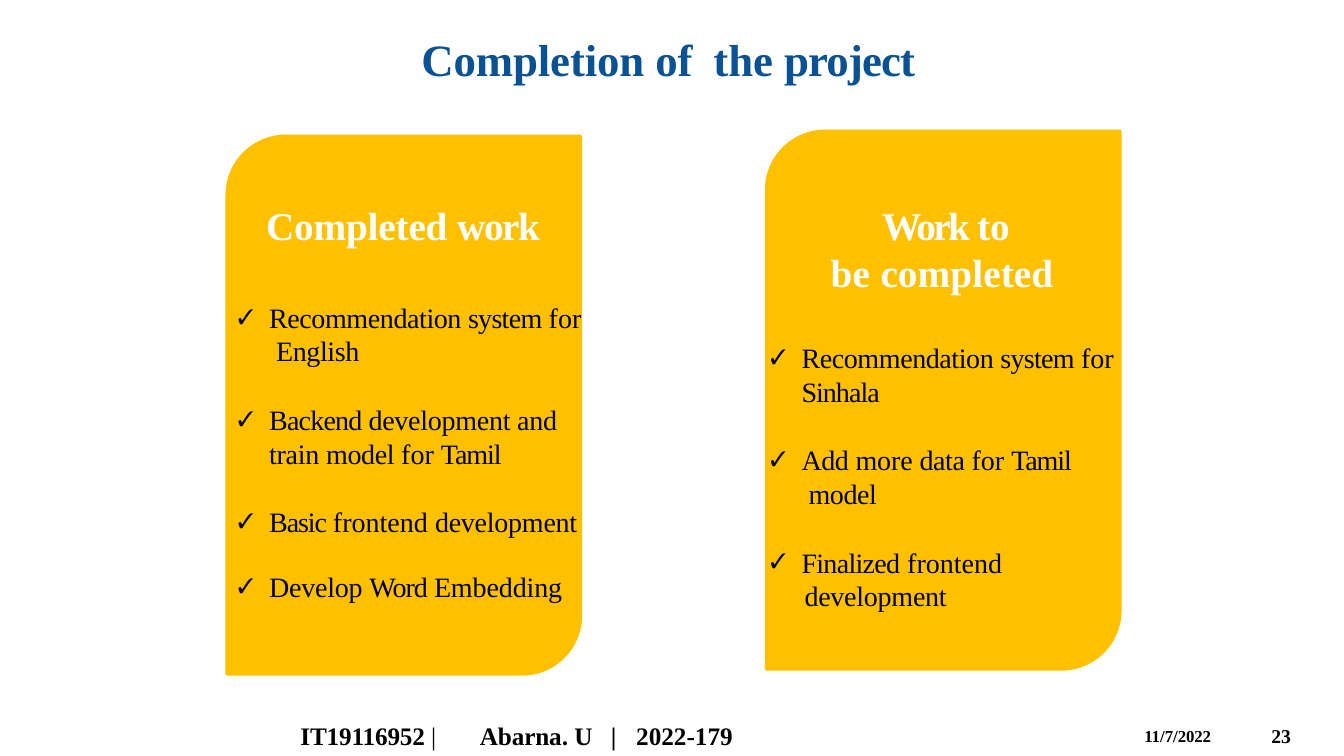
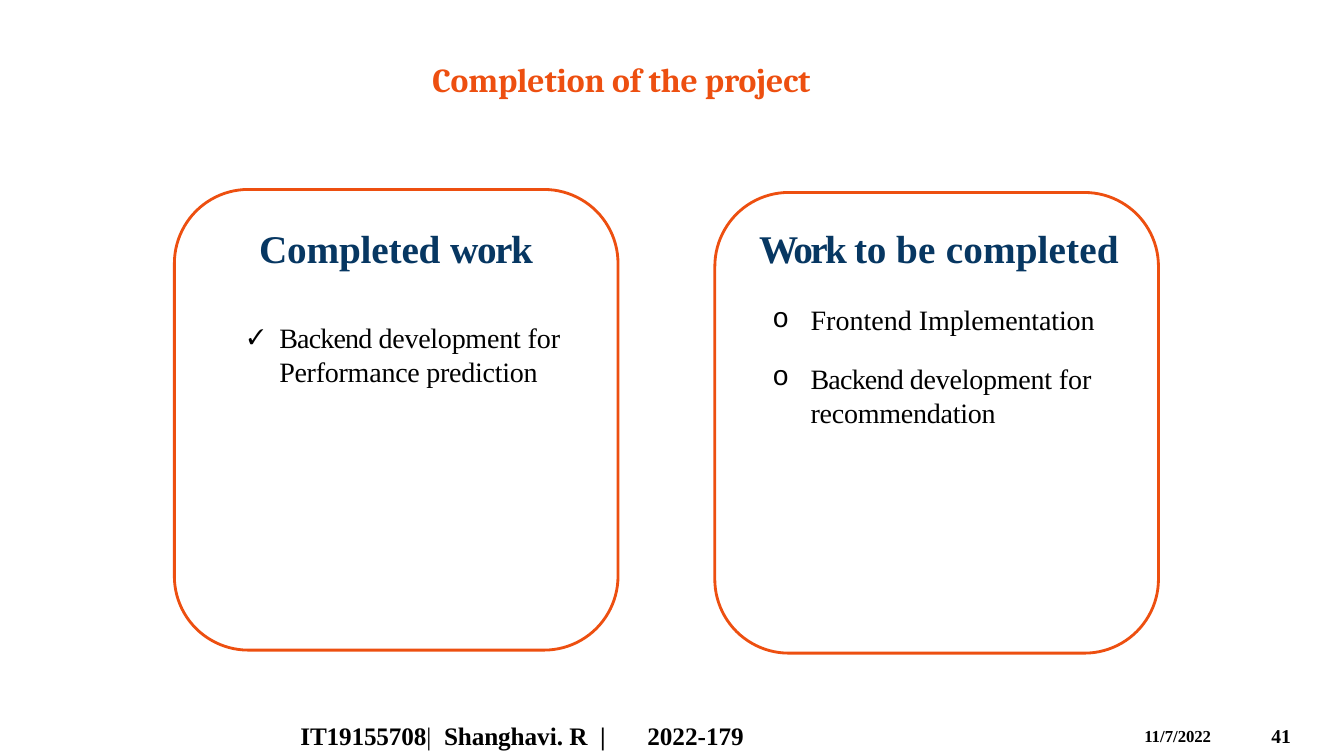
from dataclasses import dataclass

from lxml import etree
from pptx import Presentation, util as u
from pptx.dml.color import RGBColor
from pptx.enum import shapes, text
from pptx.oxml import ns

WIDTH, HEIGHT = 13.33, 7.5
SERIF, TITLE_SERIF = "Times New Roman", "Cambria"
BLACK, WHITE, BLUE, NAVY = "000000", "FFFFFF", "0A5294", "073762"
GOLD, ORANGE = "FFC000", "ED4F10"
CHECK, CIRCLE = ("✓", SERIF, 75), ("o", "Courier New", 100)
FOOTER_TOP, FOOTER_HEIGHT = 7.14, 0.32


@dataclass
class Style:
    size: float
    color: str = BLACK
    bold: bool = True
    font: str = SERIF


@dataclass
class Line:
    runs: list
    style: Style
    before: float = 1
    left: float = 0.01
    first: float = 0
    bullet: tuple = ()


BODY = Style(20, bold=False)
FOOTER, NUMBER, DATE = Style(18), Style(14), Style(12)
WHITE_HEADING, NAVY_HEADING = Style(28, WHITE), Style(28, NAVY)


def check(runs, before=25):
    return Line(runs, BODY, before, 0.33, -0.31, CHECK)


def circle(runs, before):
    return Line(runs, BODY, before, 0.52, -0.38, CIRCLE)


COMPLETED = [("Completed ", -0.1), ("work", -1)]
RECOMMENDATION = [("Recommendation ", -0.3), ("system ", -0.5)]
DATE_RUNS = [("11", -0.1), ("/", 0), ("7", -0.1), ("/", 0), ("2022", -0.1)]

SLIDES = [
    {
        "number": "23",
        "cards": {
            "shape": shapes.MSO_SHAPE.ROUND_2_DIAG_RECTANGLE,
            "fill": GOLD, "line": GOLD, "size": (3.51, 5.34),
            "corners": [(2.25, 1.35), (7.6, 1.3)],
        },
        "texts": [
            ((4.17, 0.31, 5.2, 0.56), [
                Line([("Completion of", -0.1), (" ", 7), ("the ", -0.1), ("project", -0.6)],
                     Style(32, BLUE))]),
            ((2.63, 1.99, 2.9, 0.49), [Line(COMPLETED, WHITE_HEADING)]),
            ((2.34, 2.97, 3.6, 3), [
                check(RECOMMENDATION + [("for\n ", 0), ("English", -0.3)], 1),
                check([("Backend ", -0.6), ("development and\ntrain ", -0.2),
                       ("model ", -0.3), ("for ", 0), ("Tamil", -0.8)]),
                check([("Basic ", -0.8), ("frontend ", 0), ("development", -0.2)]),
                check([("Develop ", -0.2), ("Word ", -0.7), ("Embedding", -0.1)], 22.5),
            ]),
            ((8.23, 1.99, 2.4, 0.96), [
                Line([("Work ", -1.9), ("to\n", 0), ("be ", 0.2), ("completed", 0.1)],
                     WHITE_HEADING, first=0.51)]),
            ((7.62, 3.37, 3.6, 2.7), [
                check(RECOMMENDATION + [("for\n", 0), ("Sinhala", -0.7)], 1),
                check([("Add ", -0.3), ("more ", -0.1), ("data ", -0.3), ("for ", 0),
                       ("Tamil\n ", -0.8), ("model", -0.3)]),
                check([("Finalized", -0.5), (" frontend", 0)]),
                Line([("development", -0.2)], BODY, 0, 0.36),
            ]),
        ],
        "footer": [
            (2.97, 1.65, [("IT19116952 ", -0.1), ("|", 0, False)]),
            (4.75, 1.25, [("Abarna", -0.1), (". U", 0)]),
            (6.05, 0.2, [("|", 0)]),
            (6.3, 1.25, [("2022-179", 0)]),
        ],
    },
    {
        "number": "41",
        "cards": {
            "shape": shapes.MSO_SHAPE.ROUNDED_RECTANGLE,
            "fill": None, "line": ORANGE, "size": (4.4, 4.57),
            "corners": [(1.73, 1.88), (7.09, 1.91)],
        },
        "texts": [
            ((4.28, 0.57, 4.4, 0.43), [
                Line([("Completion ", -0.1), ("of ", 0), ("the project", -0.1)],
                     Style(24, ORANGE, font=TITLE_SERIF))]),
            ((2.44, 2.22, 3.13, 1.63), [
                Line(COMPLETED, NAVY_HEADING, left=0.13),
                check([("Backend ", -0.6), ("development ", -0.2), ("for\n", 0),
                       ("Performance prediction", -0.2)], 35),
            ]),
            ((7.52, 2.22, 3.8, 2.05), [
                Line([("Work ", -1.9), ("to ", -0.1), ("be ", 0.2), ("completed", 0.1)],
                     NAVY_HEADING),
                circle([("Frontend ", 0), ("Implementation", -0.1)], 22.1),
                circle([("Backend ", -0.6), ("development ", -0.2), ("for\n", 0),
                        ("recommendation", -0.2)], 17.9),
            ]),
        ],
        "footer": [
            (2.97, 3.3, [("IT19155708", -0.1), ("|  ", 0, False), ("Shangh", -0.1),
                         ("a", -0.6), ("vi. R  |", 0)]),
            (6.41, 1.25, [("2022-179", 0)]),
        ],
    },
]


def rgb(color):
    return RGBColor.from_string(color)


def add_child(parent, tag, **attributes):
    child = etree.SubElement(parent, ns.qn(tag))
    for name, value in attributes.items():
        child.set(name, str(value))


def add_run(paragraph, words, spacing, bold=None):
    for index, part in enumerate(words.split("\n")):
        if index:
            paragraph.add_line_break()
        if part:
            run = paragraph.add_run()
            run.text = part
            run.font.bold = bold
            run._r.get_or_add_rPr().set("spc", str(round(spacing * 100)))


def write_line(paragraph, line):
    paragraph.space_before = u.Pt(line.before)
    properties = paragraph._p.get_or_add_pPr()
    properties.set("marL", str(u.Inches(line.left)))
    properties.set("indent", str(u.Inches(line.first)))
    if line.bullet:
        character, typeface, percent = line.bullet
        add_child(properties, "a:buSzPct", val=percent * 1000)
        add_child(properties, "a:buFont", typeface=typeface)
        add_child(properties, "a:buChar", char=character)
    font = paragraph.font
    font.name, font.size, font.bold = line.style.font, u.Pt(line.style.size), line.style.bold
    font.color.rgb = rgb(line.style.color)
    for run in line.runs:
        add_run(paragraph, *run)


def add_text(slide, box, lines):
    frame = slide.shapes.add_textbox(*map(u.Inches, box)).text_frame
    frame.word_wrap = True
    frame.vertical_anchor = text.MSO_ANCHOR.TOP
    frame.margin_left = frame.margin_right = frame.margin_bottom = 0
    frame.margin_top = u.Inches(0.01)
    for index, line in enumerate(lines):
        write_line(frame.add_paragraph() if index else frame.paragraphs[0], line)


def add_cards(slide, cards):
    for corner in cards["corners"]:
        card = slide.shapes.add_shape(cards["shape"], *map(u.Inches, corner + cards["size"]))
        card.shadow.inherit = False
        card.line.color.rgb = rgb(cards["line"])
        card.line.width = u.Pt(2)
        if cards["fill"]:
            card.fill.solid()
            card.fill.fore_color.rgb = rgb(cards["fill"])
        else:
            card.fill.background()


def add_footer(slide, parts, number):
    for left, width, runs in parts:
        add_text(slide, (left, FOOTER_TOP, width, FOOTER_HEIGHT), [Line(runs, FOOTER, 0)])
    add_text(slide, (12.57, 7.17, 0.31, 0.26), [Line([(number, 0)], NUMBER, 0, 0.04)])
    add_text(slide, (11.34, 7.19, 0.89, 0.22), [Line(DATE_RUNS, DATE, 0)])


def main():
    presentation = Presentation()
    presentation.slide_width, presentation.slide_height = u.Inches(WIDTH), u.Inches(HEIGHT)
    for content in SLIDES:
        slide = presentation.slides.add_slide(presentation.slide_layouts[6])
        add_cards(slide, content["cards"])
        for box, lines in content["texts"]:
            add_text(slide, box, lines)
        add_footer(slide, content["footer"], content["number"])
    presentation.save("out.pptx")


if __name__ == "__main__":
    main()
